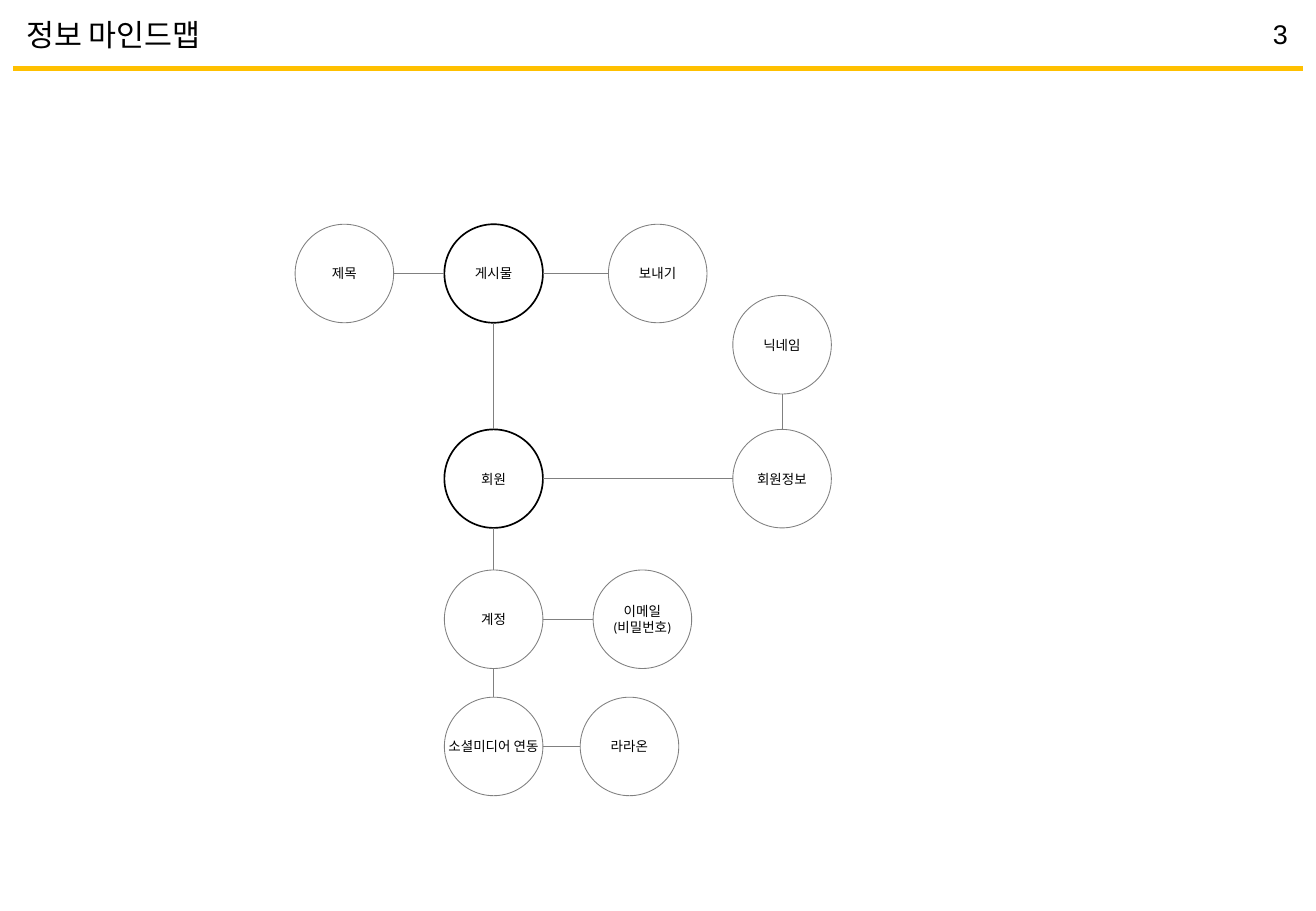
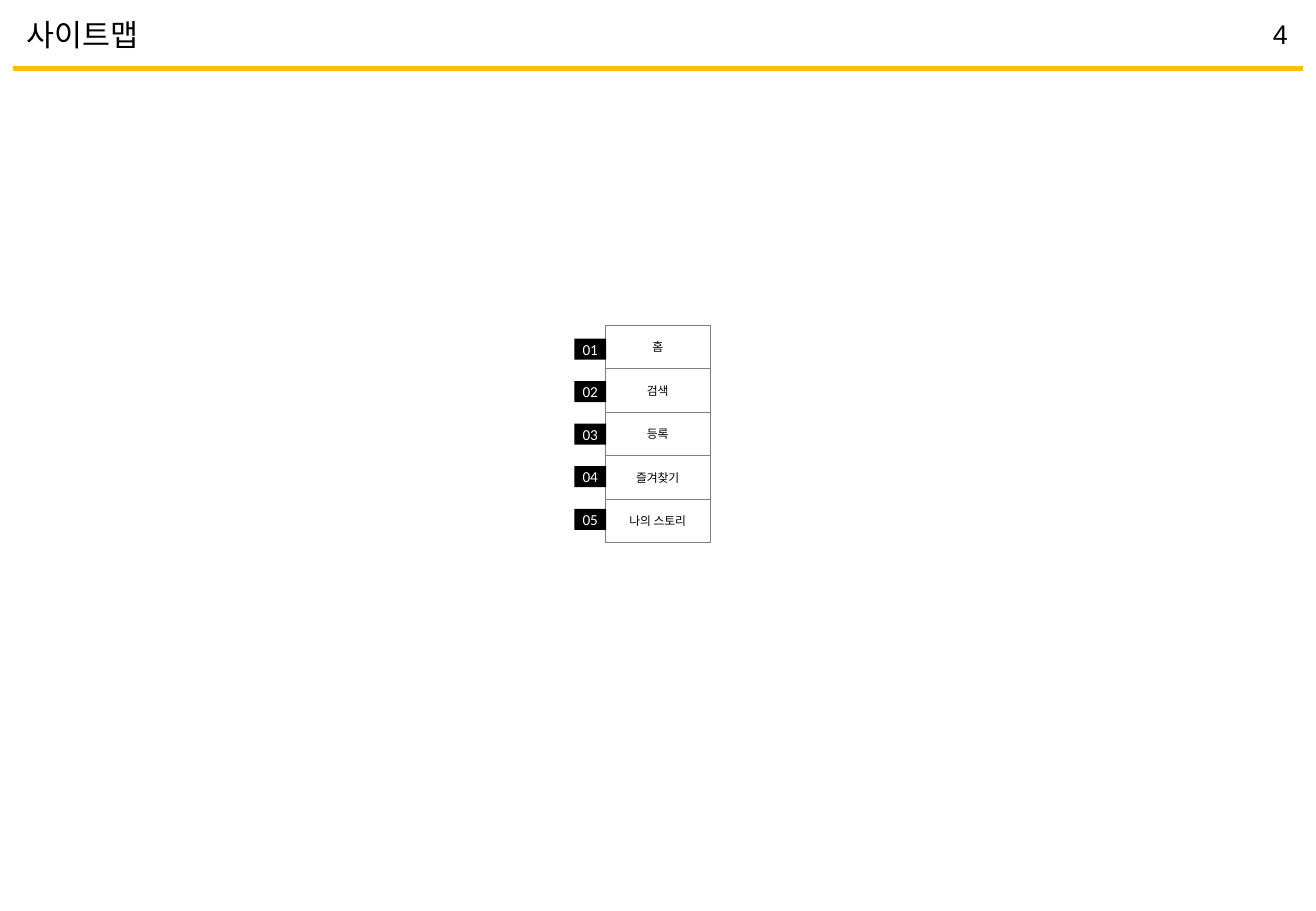
"""Builds a mind map page and a site map page under one shared header."""
from dataclasses import dataclass

from lxml import etree
from pptx import Presentation
from pptx.dml.color import RGBColor
from pptx.enum.shapes import MSO_CONNECTOR, MSO_SHAPE
from pptx.enum.text import MSO_ANCHOR, PP_ALIGN
from pptx.oxml.ns import qn
from pptx.shapes.autoshape import Shape
from pptx.slide import Slide
from pptx.text.text import TextFrame
from pptx.util import Cm, Pt

STRAIGHT = MSO_CONNECTOR.STRAIGHT
OVAL, RECTANGLE = MSO_SHAPE.OVAL, MSO_SHAPE.RECTANGLE
MIDDLE = MSO_ANCHOR.MIDDLE
LEFT, CENTER, RIGHT = PP_ALIGN.LEFT, PP_ALIGN.CENTER, PP_ALIGN.RIGHT

BLACK = RGBColor(0x00, 0x00, 0x00)
WHITE = RGBColor(0xFF, 0xFF, 0xFF)
GRAY = RGBColor(0x80, 0x80, 0x80)
AMBER = RGBColor(0xFF, 0xC0, 0x00)

KOREAN_FONT = "Noto Sans CJK KR"
BODY_FONT = "Calibri"
NUMBER_FONT = "Arial"

DIAMETER = 2.06
ROW_TOP, ROW_LEFT, ROW_WIDTH, ROW_HEIGHT = 6.8, 12.65, 2.2, 0.91
TAG_TOP, TAG_LEFT, TAG_WIDTH, TAG_HEIGHT, TAG_STEP = 7.08, 12.01, 0.66, 0.44, 0.89


@dataclass(frozen=True)
class Node:
    """A circle of the mind map, placed by its top left corner in cm."""
    label: str
    left: float
    top: float
    main: bool = False


POST = Node("게시물", 9.29, 4.69, main=True)
SUBJECT = Node("제목", 6.17, 4.69)
SEND = Node("보내기", 12.72, 4.69)
MEMBER = Node("회원", 9.29, 8.98, main=True)
PROFILE = Node("회원정보", 15.32, 8.98)
NICKNAME = Node("닉네임", 15.32, 6.18)
ACCOUNT = Node("계정", 9.29, 11.92)
EMAIL = Node("이메일\n(비밀번호)", 12.4, 11.92)
SOCIAL = Node("소셜미디어 연동", 9.29, 14.58)
MESSENGER = Node("라라온", 12.13, 14.58)

NODES = (POST, SUBJECT, SEND, MEMBER, PROFILE, NICKNAME, ACCOUNT, EMAIL, SOCIAL, MESSENGER)
LINKS = (
    (SUBJECT, POST), (POST, SEND), (POST, MEMBER), (MEMBER, PROFILE), (NICKNAME, PROFILE),
    (MEMBER, ACCOUNT), (ACCOUNT, EMAIL), (ACCOUNT, SOCIAL), (SOCIAL, MESSENGER),
)
MENU = ("홈", "검색", "등록", "즐겨찾기", "나의 스토리")


def write(frame: TextFrame, text: str, size: float, font: str, color: RGBColor = BLACK,
          align: PP_ALIGN = CENTER) -> None:
    """Fill a text frame and format every run alike."""
    frame.text = text
    for para in frame.paragraphs:
        para.alignment = align
        for span in para.runs:
            span.font.size = Pt(size)
            span.font.name = font
            span.font.color.rgb = color
            east_asian = etree.SubElement(span.font._element, qn("a:ea"))
            east_asian.set("typeface", KOREAN_FONT)


def add_line(page: Slide, x1: float, y1: float, x2: float, y2: float,
             color: RGBColor, width: float) -> None:
    """Draw a straight line without a shadow."""
    line = page.shapes.add_connector(STRAIGHT, Cm(x1), Cm(y1), Cm(x2), Cm(y2))
    line.line.color.rgb = color
    line.line.width = Pt(width)
    etree.SubElement(line._element.spPr, qn("a:effectLst"))


def add_box(page: Slide, kind: MSO_SHAPE, left: float, top: float, width: float, height: float,
            text: str, size: float, fill: RGBColor = WHITE, color: RGBColor = BLACK) -> Shape:
    """Draw a filled shape with centred text and no outline."""
    box = page.shapes.add_shape(kind, Cm(left), Cm(top), Cm(width), Cm(height))
    box.shadow.inherit = False
    box.fill.solid()
    box.fill.fore_color.rgb = fill
    box.line.fill.background()
    box.text_frame.word_wrap = False
    box.text_frame.vertical_anchor = MIDDLE
    write(box.text_frame, text, size, BODY_FONT, color)
    return box


def outline(box: Shape, color: RGBColor, width: float) -> None:
    """Give a shape a solid outline."""
    box.line.color.rgb = color
    box.line.width = Pt(width)


def add_page(deck: Presentation, title: str, number: int) -> Slide:
    """Add a blank page with the shared title, number and rule."""
    page = deck.slides.add_slide(deck.slide_layouts[6])
    add_line(page, 0.28, 1.43, 27.23, 1.43, AMBER, 3)

    number_box = page.shapes.add_textbox(Cm(25.17), Cm(0.25), Cm(2), Cm(0.92))
    number_box.text_frame.word_wrap = True
    write(number_box.text_frame, str(number), 16, NUMBER_FONT, align=RIGHT)
    number_box.text_frame.paragraphs[0].space_before = Pt(2)

    title_box = page.shapes.add_textbox(Cm(0.3), Cm(0.43), Cm(4.6), Cm(0.56))
    title_box.text_frame.word_wrap = True
    title_box.text_frame.vertical_anchor = MIDDLE
    write(title_box.text_frame, title, 18, KOREAN_FONT, align=LEFT)
    return page


def add_link(page: Slide, start: Node, end: Node) -> None:
    """Join two circles edge to edge along their shared row or column."""
    radius = DIAMETER / 2
    if start.top == end.top:
        y = start.top + radius
        add_line(page, start.left + DIAMETER, y, end.left, y, GRAY, 0.5)
    else:
        x = start.left + radius
        add_line(page, x, start.top + DIAMETER, x, end.top, GRAY, 0.5)


def draw_mind_map(page: Slide) -> None:
    """Draw the circles and the lines between them."""
    for node in NODES:
        circle = add_box(page, OVAL, node.left, node.top, DIAMETER, DIAMETER, node.label, 8)
        outline(circle, BLACK if node.main else GRAY, 1 if node.main else 0.5)
    for start, end in LINKS:
        add_link(page, start, end)


def draw_site_map(page: Slide) -> None:
    """Draw the stacked menu rows and their number tags."""
    for index, label in enumerate(MENU):
        row = add_box(page, RECTANGLE, ROW_LEFT, ROW_TOP + index * ROW_HEIGHT,
                      ROW_WIDTH, ROW_HEIGHT, label, 7)
        outline(row, GRAY, 0.5)
    for index in range(len(MENU)):
        add_box(page, RECTANGLE, TAG_LEFT, TAG_TOP + index * TAG_STEP, TAG_WIDTH, TAG_HEIGHT,
                f"{index + 1:02}", 9, BLACK, WHITE)


def main() -> None:
    """Build and save the deck."""
    deck = Presentation()
    deck.slide_width, deck.slide_height = Cm(27.51), Cm(19.05)
    draw_mind_map(add_page(deck, "정보 마인드맵", 3))
    draw_site_map(add_page(deck, "사이트맵", 4))
    deck.save("out.pptx")


if __name__ == "__main__":
    main()
